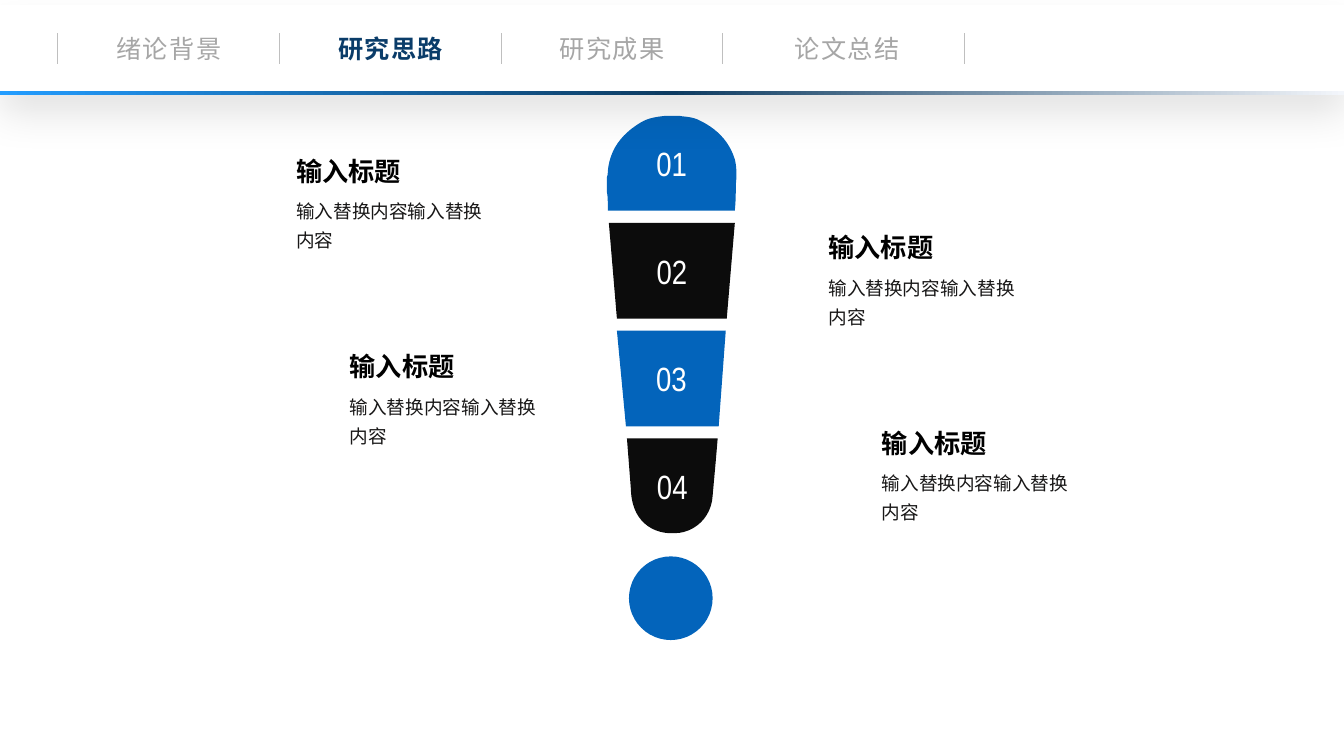
from copy import deepcopy
from lxml import etree
from pptx import Presentation
from pptx.dml.color import RGBColor
from pptx.enum.shapes import MSO_CONNECTOR, MSO_SHAPE
from pptx.enum.text import MSO_ANCHOR, PP_ALIGN as ALIGN
from pptx.oxml.ns import qn
from pptx.util import Pt

PX = 9144  # EMU per px, 100 px to the inch
STEPS = 12
SANS = "Noto Sans CJK SC"
COLORS = {name: RGBColor.from_string(code) for name, code in {
    "blue": "0364BB", "black": "0C0C0C", "white": "FFFFFF", "head": "000000",
    "body": "181717", "tab": "A6A6A6", "active": "0A3C69", "rule": "BFBFBF",
    "sky": "239DFF", "navy": "0D3B61", "pale": "F3F6FB"}.items()}


def write(shape, text, size, color, align, face=SANS, bold=False):
    frame = shape.text_frame
    frame.text = text
    para = frame.paragraphs[0]
    para.alignment = align
    run = para.runs[0]
    font = run.font
    font.size, font.bold, font.name = Pt(size), bold, face
    font.color.rgb = COLORS[color]
    etree.SubElement(font._element, qn("a:ea"), typeface=face)
    return para, font


def trace(path):
    """Turn a path of points and cubic curves (six numbers) into plain points."""
    points = [path[0]]
    for part in path[1:]:
        if len(part) == 2:
            points.append(part)
            continue
        (x0, y0), (x1, y1, x2, y2, x3, y3) = points[-1], part
        for step in range(1, STEPS + 1):
            t = step / STEPS
            a, b, c, d = (1 - t) ** 3, 3 * t * (1 - t) ** 2, 3 * t * t * (1 - t), t ** 3
            points.append((a * x0 + b * x1 + c * x2 + d * x3,
                           a * y0 + b * y1 + c * y2 + d * y3))
    return [(x * PX, y * PX) for x, y in points]


deck = Presentation()
deck.slide_width, deck.slide_height = 12192000, 6858000
slide = deck.slides.add_slide(deck.slide_layouts[6])
shapes = slide.shapes

# Exclamation mark
dot = shapes.add_shape(MSO_SHAPE.OVAL, 624 * PX, 552 * PX, 83 * PX, 83 * PX)
dot.shadow.inherit = False
dot.fill.solid()
dot.fill.fore_color.rgb = COLORS["blue"]
dot.line.fill.background()

parts = [
    ("01", "blue", [(660, 115), (665, 115, 669, 115, 674, 115),
                    (680, 116, 687, 116, 693, 119), (710, 127, 723, 139, 729, 158),
                    (731, 166, 731, 175, 730, 183), (730, 192, 730, 200, 729, 209),
                    (603, 209), (603, 203), (603, 199, 603, 194, 602, 190),
                    (602, 185, 602, 181, 602, 176), (603, 174, 603, 172, 603, 170),
                    (605, 148, 617, 133, 635, 122), (643, 117, 651, 116, 660, 115)]),
    ("02", "black", [(604, 221), (729, 221), (721, 316), (612, 316)]),
    ("03", "blue", [(612, 328), (720, 328), (713, 423), (621, 423)]),
    ("04", "black", [(622, 435), (712, 435), (710, 459), (709, 470, 708, 481, 707, 492),
                     (706, 513, 689, 529, 669, 529), (649, 530, 633, 519, 628, 500),
                     (627, 496, 626, 491, 626, 486)]),
]
for label, color, path in parts:
    start, *rest = trace(path)
    pen = shapes.build_freeform(*start, scale=1.0)
    pen.add_line_segments(rest, close=True)
    part = pen.convert_to_shape()
    part.shadow.inherit = False
    part.fill.solid()
    part.fill.fore_color.rgb = COLORS[color]
    part.line.fill.background()
    part.text_frame.vertical_anchor = MSO_ANCHOR.MIDDLE
    write(part, label, 24, "white", ALIGN.CENTER, "Arial Narrow")

# Notes beside the mark
for left, top in [(284, 149), (812, 225), (337, 343), (865, 419)]:
    body = shapes.add_textbox(left * PX, (top + 38) * PX, 212 * PX, 66 * PX)
    body.text_frame.word_wrap = True
    para, font = write(body, "输入替换内容输入替换内容", 13.3, "body", ALIGN.LEFT)
    para.line_spacing = 1.3
    head = shapes.add_textbox(left * PX, top * PX, 212 * PX, 42 * PX)
    head.text_frame.word_wrap = True
    write(head, "输入标题", 18.7, "head", ALIGN.JUSTIFY, bold=True)

# Navigation bar
panel = shapes.add_shape(MSO_SHAPE.RECTANGLE, 0, 5 * PX, deck.slide_width, 87 * PX)
panel.shadow.inherit = False
panel.fill.solid()
panel.fill.fore_color.rgb = COLORS["white"]
panel.line.fill.background()
glow = etree.SubElement(panel._element.spPr.find(qn("a:effectLst")), qn("a:outerShdw"),
                        blurRad=str(Pt(28)), dist=str(Pt(15)), dir="5400000",
                        algn="t", rotWithShape="0")
tint = etree.SubElement(glow, qn("a:srgbClr"), val="000000")
etree.SubElement(tint, qn("a:alpha"), val="11000")

for x in (57, 277, 497, 717, 957):
    rule = shapes.add_connector(MSO_CONNECTOR.STRAIGHT, x * PX, 33 * PX, x * PX, 64 * PX)
    rule.line.color.rgb = COLORS["rule"]
    rule.line.width = Pt(0.5)
    etree.SubElement(rule._element.spPr, qn("a:effectLst"))

tabs = [("绪论背景", 104), ("研究思路", 324), ("研究成果", 544), ("论文总结", 777)]
for name, left in tabs:
    active = name == "研究思路"
    tab = shapes.add_textbox(left * PX, 28 * PX, 127 * PX, 40 * PX)
    tab.text_frame.word_wrap = False
    para, font = write(tab, name, 18, "active" if active else "tab", ALIGN.CENTER, bold=active)
    font._element.set("spc", "100")

strip = shapes.add_shape(MSO_SHAPE.RECTANGLE, 0, 90 * PX, deck.slide_width, 4 * PX)
strip.shadow.inherit = False
strip.line.fill.background()
strip.fill.gradient()
strip.fill.gradient_angle = 0
stops = strip._element.spPr.find(qn("a:gradFill")).find(qn("a:gsLst"))
stops.insert(1, deepcopy(stops[0]))
for stop, spot, color in zip(strip.fill.gradient_stops, (0, 0.5, 1), ("sky", "navy", "pale")):
    stop.position = spot
    stop.color.rgb = COLORS[color]

deck.save("out.pptx")
